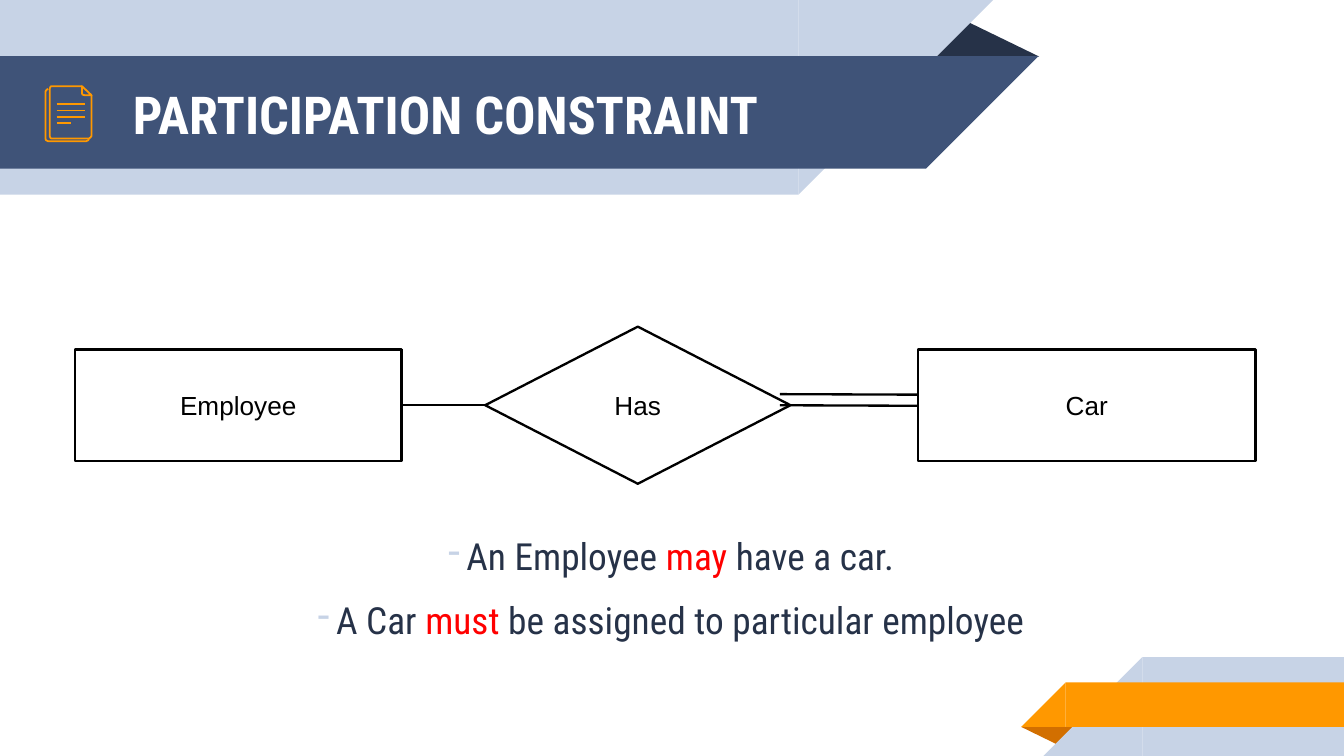
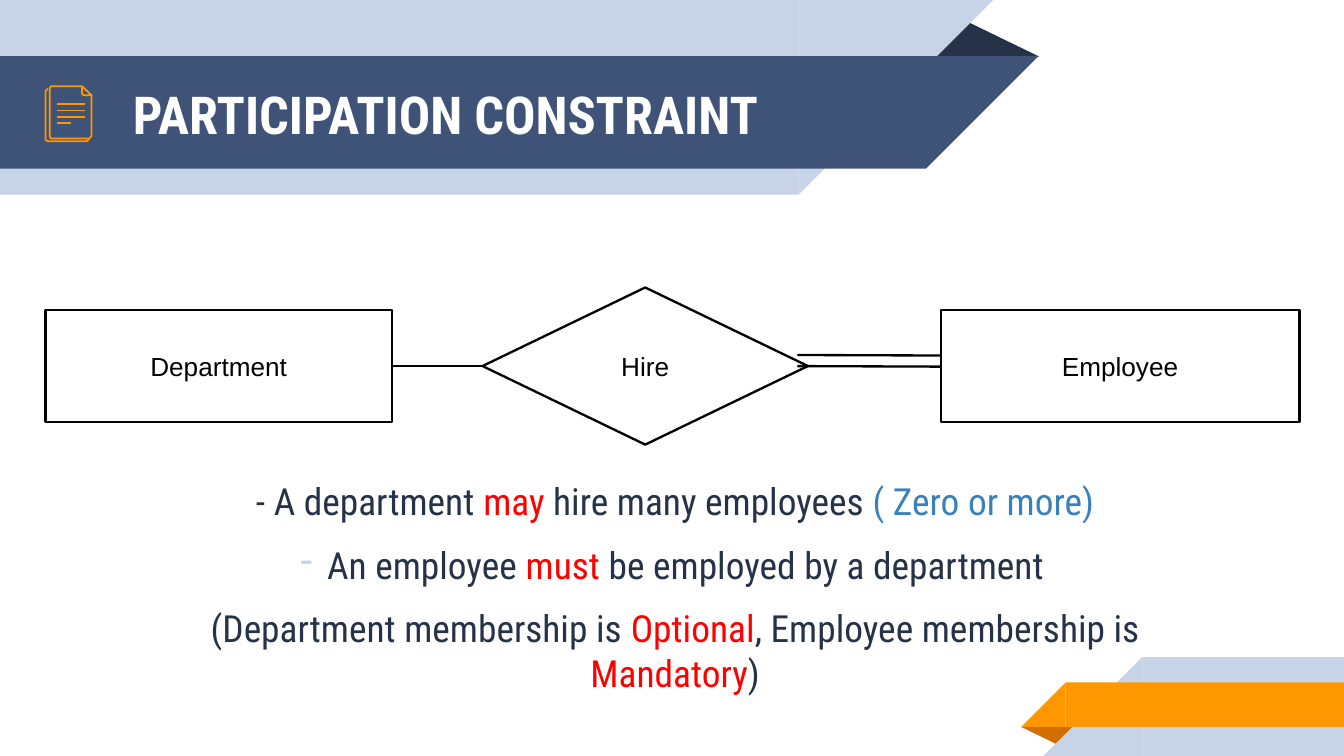
from dataclasses import dataclass

import pptx
import pptx.dml.color
import pptx.enum.shapes
import pptx.enum.text
import pptx.oxml.ns
import pptx.presentation
import pptx.shapes.autoshape
import pptx.slide
import pptx.text.text
import pptx.util
from lxml import etree

Cm = pptx.util.Cm
Pt = pptx.util.Pt
Kind = pptx.enum.shapes.MSO_SHAPE
Align = pptx.enum.text.PP_ALIGN
Anchor = pptx.enum.text.MSO_ANCHOR
Slide = pptx.slide.Slide
Shape = pptx.shapes.autoshape.Shape
Frame = pptx.text.text.TextFrame
qn = pptx.oxml.ns.qn

WIDE, HIGH = 25.4, 14.29
PALE, BLUE, NAVY = "C7D3E6", "3F5378", "263248"
GOLD, RUST = "FF9800", "D26F00"
RED, SKY, BLACK, WHITE = "FF0000", "3A81BA", "000000", "FFFFFF"
SANS, HEAD = "Arial", "Roboto Condensed"
INK, THIN = 1.25, 0.96  # line widths in points


@dataclass(frozen=True)
class Box:
    x: float
    y: float
    w: float
    h: float

    def place(self) -> tuple[int, ...]:
        return tuple(Cm(n) for n in (self.x, self.y, self.w, self.h))


@dataclass(frozen=True)
class Band:
    """Bar with a slanted end that adds its own height to the length."""
    hue: str
    box: Box
    right: bool


@dataclass(frozen=True)
class Fold:
    hue: str
    box: Box
    turn: int


@dataclass(frozen=True)
class Run:
    text: str
    hue: str = NAVY


@dataclass(frozen=True)
class Line:
    runs: tuple[Run, ...]
    dash: bool = True


@dataclass(frozen=True)
class Part:
    """One element of the diagram: its label and its span."""
    text: str
    x: float
    w: float

    @property
    def end(self) -> float:
        return self.x + self.w


@dataclass(frozen=True)
class Page:
    mid: float
    left: Part
    verb: Part
    right: Part
    body: Box
    lines: tuple[Line, ...]


DECOR = (
    Fold(NAVY, Box(17.48, 0.36, 2.16, 0.71), 0),
    Band(PALE, Box(0, 0, 15.09, 3.68), True),
    Band(BLUE, Box(0, 1.06, 17.5, 2.13), True),
    Fold(RUST, Box(19.3, 13.74, 1.09, 0.36), 180),
    Band(PALE, Box(21.59, 12.42, WIDE - 21.59, 1.87), False),
    Band(GOLD, Box(20.14, 12.9, WIDE - 20.14, 0.84), False),
)

# Outlines of the paper icon, in hundredths of a centimetre
BACK = ((168, 262), (167, 265), (163, 267), (91, 267), (87, 265),
        (86, 262), (86, 173), (88, 170), (91, 168))
FRONT = ((173, 180), (173, 257), (171, 260), (168, 262), (97, 262), (95, 260),
         (94, 257), (94, 168), (95, 165), (97, 163), (155, 163))
EAR = ((155, 163), (173, 180), (160, 180), (156, 179), (155, 176))

PAGES = (
    Page(
        7.66,
        Part("Employee", 1.42, 6.17),
        Part("Has", 9.17, 5.77),
        Part("Car", 17.35, 6.38),
        Box(2.16, 9.83, 21.16, 7.44),
        (
            Line((Run("An Employee "), Run("may", RED), Run(" have a car."))),
            Line((Run("A Car "), Run("must", RED),
                  Run(" be assigned to particular employee"))),
        ),
    ),
    Page(
        6.92,
        Part("Department", 0.86, 6.55),
        Part("Hire", 9.12, 6.15),
        Part("Employee", 17.78, 6.78),
        Box(2.18, 8.79, 21.16, 7.44),
        (
            Line((Run("- A department "), Run("may", RED),
                  Run(" hire many employees "), Run("( Zero or more)", SKY)), False),
            Line((Run(" An employee "), Run("must", RED),
                  Run(" be employed by a department"))),
            Line((Run("(Department membership is "), Run("Optional", RED),
                  Run(", Employee membership is "), Run("Mandatory", RED),
                  Run(")")), False),
        ),
    ),
)


def tint(code: str) -> pptx.dml.color.RGBColor:
    return pptx.dml.color.RGBColor.from_string(code)


def solid(slide: Slide, kind: Kind, box: Box, hue: str, turn: int = 0) -> Shape:
    shape = slide.shapes.add_shape(kind, *box.place())
    shape.fill.solid()
    shape.fill.fore_color.rgb = tint(hue)
    shape.line.fill.background()
    shape.shadow.inherit = False
    shape.rotation = turn
    return shape


def hollow(shape: Shape, hue: str, width: float) -> None:
    shape.fill.background()
    shape.line.color.rgb = tint(hue)
    shape.line.width = Pt(width)
    shape.shadow.inherit = False


def stroke(slide: Slide, x1: float, y1: float, x2: float, y2: float,
           hue: str = BLACK, width: float = INK) -> None:
    line = slide.shapes.add_connector(
        pptx.enum.shapes.MSO_CONNECTOR.STRAIGHT, Cm(x1), Cm(y1), Cm(x2), Cm(y2))
    line.line.color.rgb = tint(hue)
    line.line.width = Pt(width)
    etree.SubElement(line.element.spPr, qn("a:effectLst"))


def setup(frame: Frame, anchor: Anchor, pad: float) -> None:
    """Set wrapping, anchor and margins; pad is above and below."""
    frame.word_wrap = True
    frame.vertical_anchor = anchor
    frame.margin_left = frame.margin_right = Cm(0.25)
    frame.margin_top = frame.margin_bottom = Cm(pad)


def write(para, run: Run, size: int, font: str, bold: bool = False) -> None:
    item = para.add_run()
    item.text = run.text
    item.font.size = Pt(size)
    item.font.name = font
    item.font.bold = bold
    item.font.color.rgb = tint(run.hue)


def dash(para) -> None:
    """Give the paragraph a pale hanging dash as its bullet."""
    props = para._p.get_or_add_pPr()
    props.set("marL", "0")
    props.set("indent", str(Cm(-0.35)))
    color = etree.SubElement(props, qn("a:buClr"))
    etree.SubElement(color, qn("a:srgbClr"), val=PALE)
    etree.SubElement(props, qn("a:buChar"), char="-")


def draw_band(slide: Slide, band: Band) -> None:
    box = band.box
    solid(slide, Kind.RECTANGLE, box, band.hue)
    x, turn = (box.x + box.w, 90) if band.right else (box.x - box.h, 270)
    solid(slide, Kind.RIGHT_TRIANGLE, Box(x, box.y, box.h, box.h), band.hue, turn)


def draw_decor(slide: Slide) -> None:
    for item in DECOR:
        if isinstance(item, Band):
            draw_band(slide, item)
        else:
            fold = solid(slide, Kind.ISOSCELES_TRIANGLE, item.box, item.hue, item.turn)
            fold.adjustments[0] = 0.324


def draw_icon(slide: Slide) -> None:
    for points, close in ((BACK, False), (FRONT, False), (EAR, True)):
        form = slide.shapes.build_freeform(*points[0], scale=Cm(0.01))
        form.add_line_segments(points[1:], close=close)
        hollow(form.convert_to_shape(), GOLD, THIN)
    for row, end in enumerate((1.6, 1.6, 1.6, 1.35)):
        y = 1.97 + 0.12 * row
        stroke(slide, 1.07, y, end, y, GOLD, THIN)


def draw_title(slide: Slide) -> None:
    frame = slide.shapes.add_textbox(*Box(2.26, 1.09, 14.6, 2.13).place()).text_frame
    setup(frame, Anchor.MIDDLE, 0.25)
    write(frame.paragraphs[0], Run("PARTICIPATION CONSTRAINT", WHITE), 28, HEAD, True)


def draw_body(slide: Slide, page: Page) -> None:
    frame = slide.shapes.add_textbox(*page.body.place()).text_frame
    setup(frame, Anchor.TOP, 0.25)
    for row, line in enumerate(page.lines):
        para = frame.add_paragraph() if row else frame.paragraphs[0]
        para.alignment = Align.CENTER
        para.space_before = Pt(10 if row else 0)
        if line.dash:
            dash(para)
        for run in line.runs:
            write(para, run, 20, HEAD)


def draw_part(slide: Slide, kind: Kind, part: Part, mid: float, high: float) -> None:
    box = Box(part.x, mid - high / 2, part.w, high)
    shape = slide.shapes.add_shape(kind, *box.place())
    hollow(shape, BLACK, INK)
    setup(shape.text_frame, Anchor.MIDDLE, 0.13)
    para = shape.text_frame.paragraphs[0]
    para.alignment = Align.CENTER
    write(para, Run(part.text, BLACK), 14, SANS)


def draw_model(slide: Slide, page: Page) -> None:
    """Draw two entities, the diamond between them and their links."""
    mid, high = page.mid, 2.11
    left, verb, right = page.left, page.verb, page.right
    draw_part(slide, Kind.RECTANGLE, left, mid, high)
    stroke(slide, left.end, mid - high / 2, left.end, mid + high / 2)
    draw_part(slide, Kind.FLOWCHART_DECISION, verb, mid, 2.97)
    draw_part(slide, Kind.RECTANGLE, right, mid, high)
    stroke(slide, left.end, mid, verb.x, mid)
    for y in (mid - 0.21, mid):
        stroke(slide, verb.end - 0.2, y, right.x, y + 0.01)


def main() -> None:
    deck = pptx.Presentation()
    deck.slide_width, deck.slide_height = Cm(WIDE), Cm(HIGH)
    for page in PAGES:
        slide = deck.slides.add_slide(deck.slide_layouts[6])
        draw_decor(slide)
        draw_body(slide, page)
        draw_title(slide)
        draw_icon(slide)
        draw_model(slide, page)
    deck.save("out.pptx")


if __name__ == "__main__":
    main()
